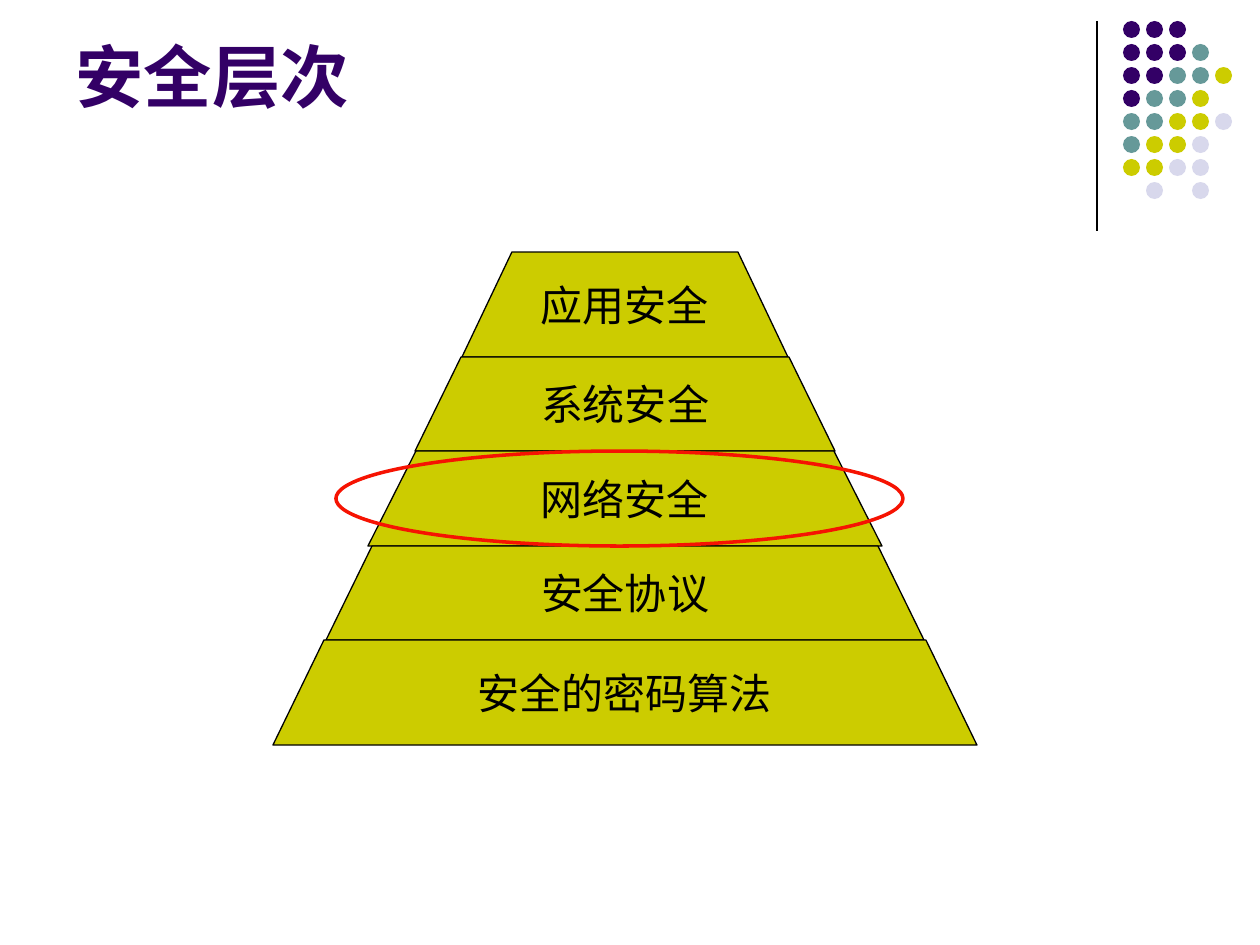
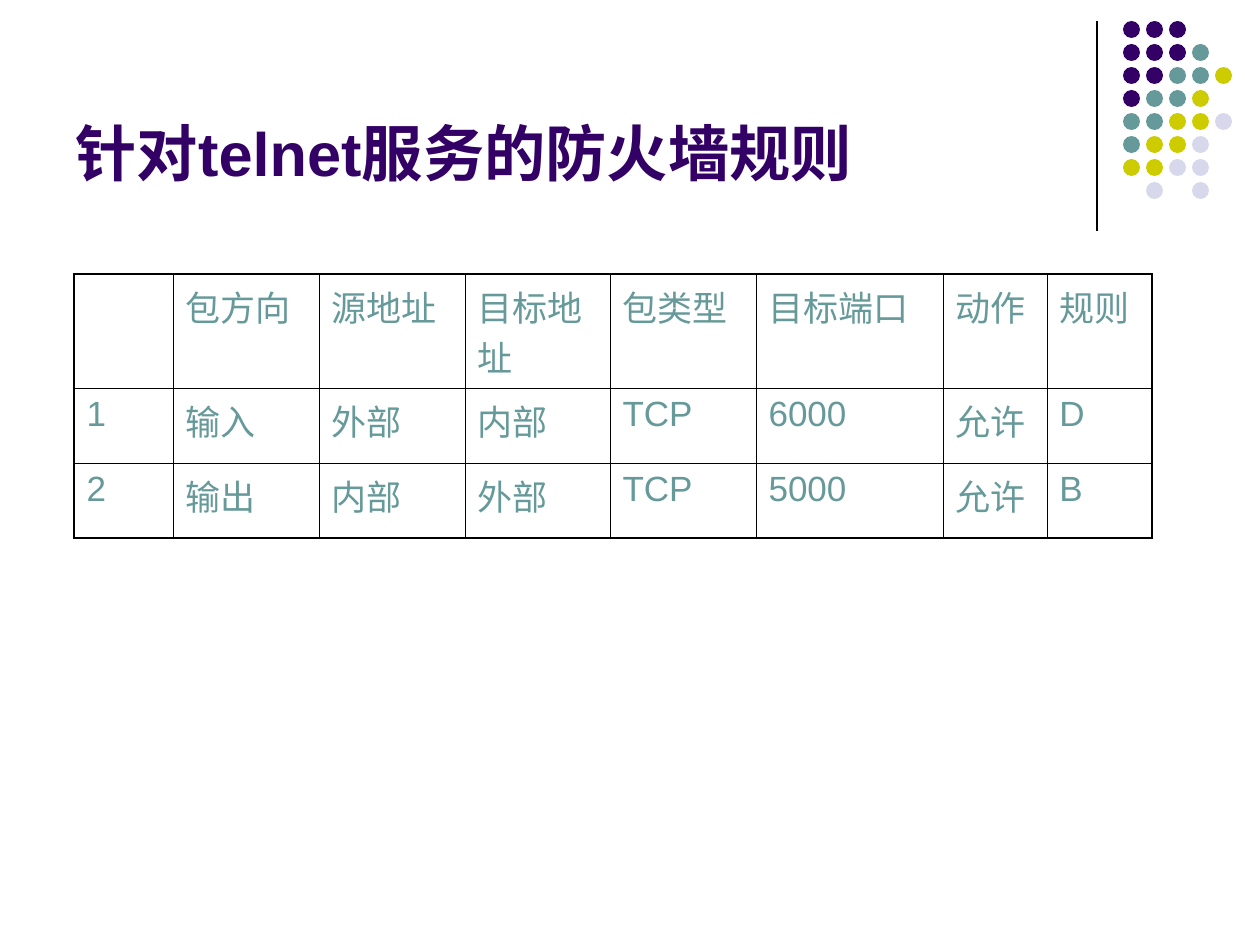
from lxml import etree
from pptx import Presentation
from pptx.dml.color import RGBColor
from pptx.enum.shapes import MSO_CONNECTOR, MSO_SHAPE
from pptx.enum.text import MSO_ANCHOR, MSO_AUTO_SIZE, PP_ALIGN
from pptx.oxml.ns import qn
from pptx.util import Emu, Pt

LEFT, CENTER = PP_ALIGN.LEFT, PP_ALIGN.CENTER
TOP, MIDDLE, BOTTOM = MSO_ANCHOR.TOP, MSO_ANCHOR.MIDDLE, MSO_ANCHOR.BOTTOM
NO_AUTOFIT = MSO_AUTO_SIZE.NONE
OVAL, STRAIGHT = MSO_SHAPE.OVAL, MSO_CONNECTOR.STRAIGHT

PX_PER_INCH = 126
TITLE_ONLY = 5
PURPLE, TEAL, OLIVE, LILAC = "330066", "669999", "CCCC00", "D8D8EC"
BLACK, RED = "000000", "F61302"

# Corner dots: one string per row, one letter per dot
DOT_COLORS = {"P": PURPLE, "T": TEAL, "O": OLIVE, "L": LILAC}
DOT_ROWS = ["PPP", "PPPT", "PPTTO", "PTTO", "TTOOL", "TOOL", "OOLL", " L L"]
DOT_LEFT, DOT_TOP, DOT_PITCH, DOT_SIZE = 1123, 21, 23, 17

# Pyramid levels from the top: label, half width at top and bottom, height
PYRAMID_CENTER, PYRAMID_TOP = 625, 252
LEVELS = [
    ("应用安全", 113, 163, 105),
    ("系统安全", 164, 210, 94),
    ("网络安全", 209, 257, 95),
    ("安全协议", 253, 299, 94),
    ("安全的密码算法", 301, 352, 105),
]

RULES = [
    ["", "包方向", "源地址", "目标地址", "包类型", "目标端口", "动作", "规则"],
    ["1", "输入", "外部", "内部", "TCP", "6000", "允许", "D"],
    ["2", "输出", "内部", "外部", "TCP", "5000", "允许", "B"],
]
RULE_COLUMNS = [99, 146, 146, 145, 146, 187, 104, 105]
RULE_ROWS = [97, 75, 75]
INNER_LINE, OUTER_LINE = 0.45, 1.08


def px(length):
    return Emu(round(length * 914400 / PX_PER_INCH))


def rgb(value):
    return RGBColor.from_string(value)


def write(frame, text, size, color, font="Arial", bold=False, align=LEFT,
          anchor=TOP, wrap=True):
    frame.word_wrap = wrap
    frame.vertical_anchor = anchor
    paragraph = frame.paragraphs[0]
    paragraph.alignment = align
    run = paragraph.add_run()
    run.text = text
    run.font.name, run.font.size, run.font.bold = font, Pt(size), bold
    run.font.color.rgb = rgb(color)


def style(shape, fill=None, line=None, weight=0.75):
    shape.shadow.inherit = False
    if fill:
        shape.fill.solid()
        shape.fill.fore_color.rgb = rgb(fill)
    else:
        shape.fill.background()
    if line:
        shape.line.color.rgb = rgb(line)
        shape.line.width = Pt(weight)
    else:
        shape.line.fill.background()


def add_oval(slide, left, top, width, height, **look):
    oval = slide.shapes.add_shape(OVAL, px(left), px(top), px(width), px(height))
    style(oval, **look)


def add_corner(slide):
    divider = slide.shapes.add_connector(STRAIGHT, px(1097), px(21), px(1097), px(231))
    divider.line.color.rgb = rgb(BLACK)
    divider.line.width = Pt(0.75)
    etree.SubElement(divider._element.spPr, qn("a:effectLst"))
    for row, letters in enumerate(DOT_ROWS):
        for column, letter in enumerate(letters):
            if letter in DOT_COLORS:
                add_oval(slide, DOT_LEFT + column * DOT_PITCH,
                         DOT_TOP + row * DOT_PITCH, DOT_SIZE, DOT_SIZE,
                         fill=DOT_COLORS[letter])


def add_titled_slide(deck, text, size, height):
    slide = deck.slides.add_slide(deck.slide_layouts[TITLE_ONLY])
    add_corner(slide)
    title = slide.shapes.title
    title.left, title.top, title.width, title.height = px(63), px(16), px(1040), px(height)
    write(title.text_frame, text, size, PURPLE, bold=True, anchor=BOTTOM)
    title.text_frame.auto_size = NO_AUTOFIT
    return slide


def add_level(slide, label, top, half_top, half_bottom, height):
    corners = [(half_bottom, height), (-half_bottom, height), (-half_top, 0)]
    outline = slide.shapes.build_freeform(px(PYRAMID_CENTER + half_top), px(top))
    outline.add_line_segments(
        [(px(PYRAMID_CENTER + x), px(top + y)) for x, y in corners], close=True)
    level = outline.convert_to_shape()
    style(level, fill=OLIVE, line=BLACK)
    write(level.text_frame, label, 24, BLACK, font="Times New Roman",
          align=CENTER, anchor=MIDDLE, wrap=False)


def add_pyramid(slide):
    top = PYRAMID_TOP
    for label, half_top, half_bottom, height in LEVELS:
        add_level(slide, label, top, half_top, half_bottom, height)
        top += height


def set_border(cell, side, weight):
    border = etree.SubElement(cell._tc.get_or_add_tcPr(), qn(f"a:ln{side}"),
                              w=str(int(Pt(weight))))
    fill = etree.SubElement(border, qn("a:solidFill"))
    etree.SubElement(fill, qn("a:srgbClr"), val=BLACK)


def add_rule_table(slide, left, top):
    row_count, column_count = len(RULE_ROWS), len(RULE_COLUMNS)
    table = slide.shapes.add_table(row_count, column_count, px(left), px(top),
                                   px(sum(RULE_COLUMNS)), px(sum(RULE_ROWS))).table
    table.first_row = table.horz_banding = False
    for column, width in zip(table.columns, RULE_COLUMNS):
        column.width = px(width)
    for row, height in zip(table.rows, RULE_ROWS):
        row.height = px(height)
    for r, values in enumerate(RULES):
        for c, value in enumerate(values):
            cell = table.cell(r, c)
            # Heavier lines on the outer edge; borders come before the fill
            on_edge = {"L": c == 0, "R": c == column_count - 1,
                       "T": r == 0, "B": r == row_count - 1}
            for side, outer in on_edge.items():
                set_border(cell, side, OUTER_LINE if outer else INNER_LINE)
            cell.fill.background()
            if value:
                write(cell.text_frame, value, 20, TEAL)


def main():
    deck = Presentation()
    deck.slide_width, deck.slide_height = px(1260), px(945)

    # Security levels, with network security circled
    levels_slide = add_titled_slide(deck, "安全层次", 39, 106)
    add_pyramid(levels_slide)
    add_oval(levels_slide, 336, 451, 567, 95, line=RED, weight=2)

    # Firewall rules
    rules_slide = add_titled_slide(deck, "针对telnet服务的防火墙规则", 35, 179)
    add_rule_table(rules_slide, 74, 274)

    deck.save("out.pptx")


if __name__ == "__main__":
    main()
